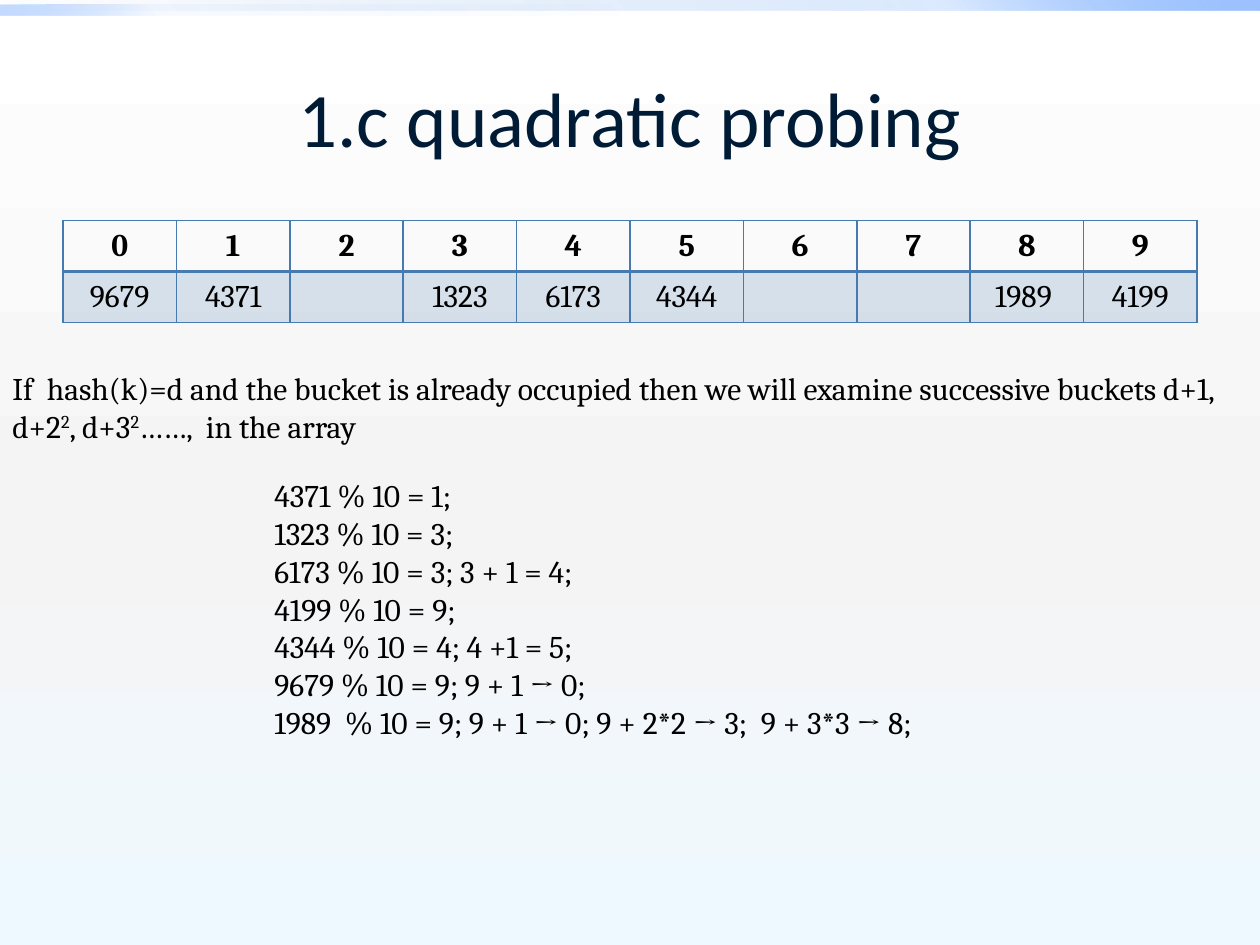
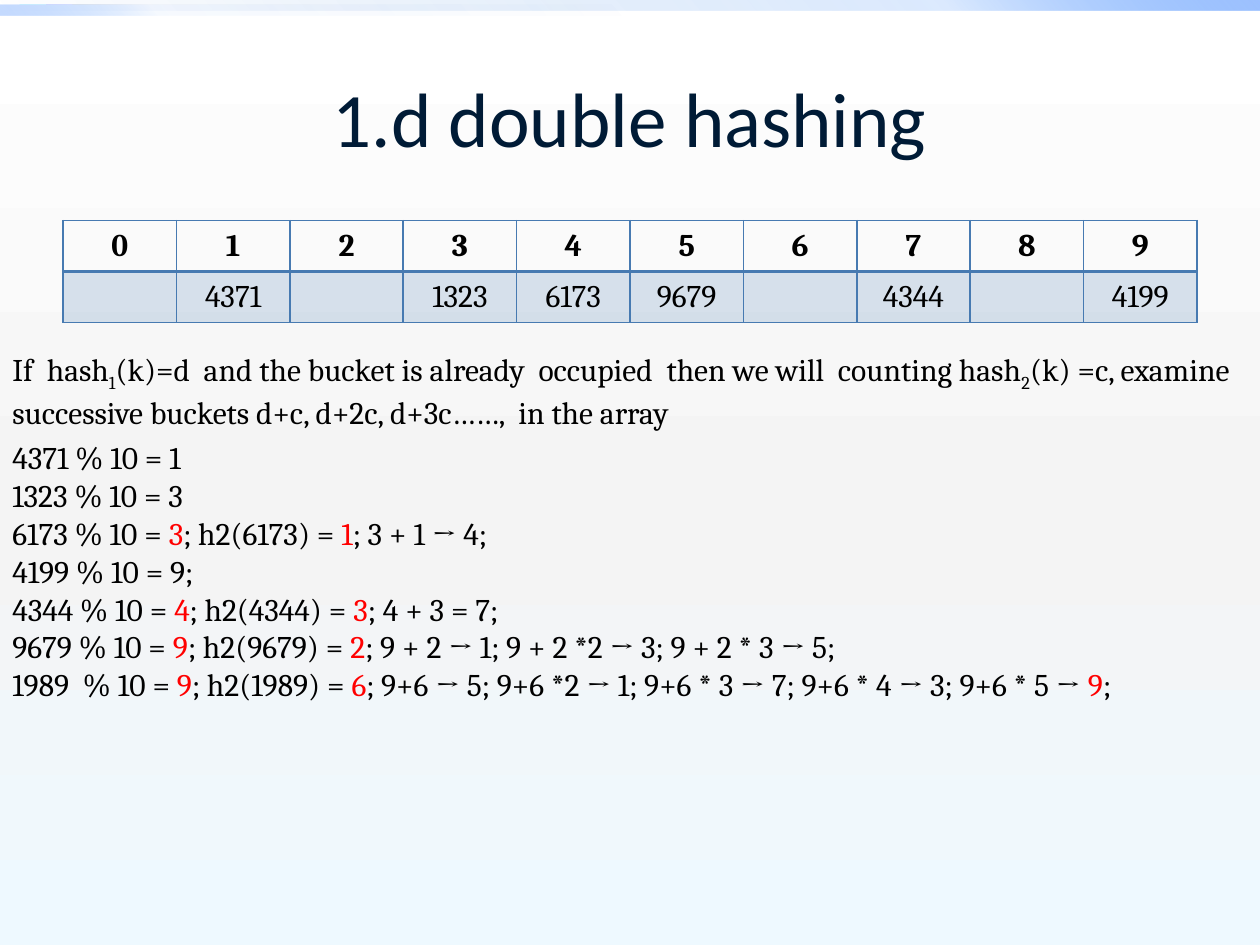
"""Build two slides on quadratic probing and double hashing."""
from pptx import Presentation as Deck
from pptx.dml.color import RGBColor as Rgb
from pptx.enum.shapes import MSO_SHAPE as Shape
from pptx.enum.text import MSO_ANCHOR as Anchor, MSO_AUTO_SIZE as Auto, PP_ALIGN as Align
from pptx.oxml import parse_xml
from pptx.oxml.ns import nsdecls, qn
from pptx.util import Inches, Pt

HUES = {
    "title": "001B36", "text": "000000", "red": "FF0000", "grid": "477AB1",
    "deep": "0058B7", "mid": "4F95FF", "pale": "9EC2FF",
    "white": "FFFFFF", "gray": "F4F4F4", "ice": "EEF9FF",
}
BASES = {"up": "30000", "down": "-25000"}
COLS, ROWS = 100, 75


class Page:
    """Hold the deck's style and the slide being drawn."""

    def __init__(self):
        self.deck = Deck()
        self.deck.slide_width, self.deck.slide_height = Inches(10), Inches(7.5)
        self.master = self.deck.slide_master
        self.slide = None

    def at(self, col, row, wide, high):
        across = self.deck.slide_width / COLS
        down = self.deck.slide_height / ROWS
        return [round(n) for n in (col * across, row * down, wide * across, high * down)]

    def grade(self, fill, root, stops, angle):
        fill.gradient()
        old = root.find(".//" + qn("a:gradFill"))
        marks = "".join(
            f'<a:gs pos="{pos * 1000}"><a:srgbClr val="{HUES[hue]}">'
            f'<a:alpha val="{alpha * 1000}"/></a:srgbClr></a:gs>'
            for pos, hue, alpha in stops)
        old.getparent().replace(old, parse_xml(
            f'<a:gradFill {nsdecls("a")} rotWithShape="1"><a:gsLst>{marks}</a:gsLst>'
            f'<a:lin ang="{angle * 60000}" scaled="0"/></a:gradFill>'))

    def ground(self):
        stops = (0, "white", 100), (55, "gray", 100), (100, "ice", 100)
        self.grade(self.master.background.fill, self.master.element, stops, 90)

    def band(self, spot, mid, end, angle, key):
        band = self.slide.shapes.add_shape(Shape.RECTANGLE, *self.at(*spot))
        band.shadow.inherit = False
        band.line.fill.background()
        stops = (0, "deep", 0), (75, "mid", mid), (100, "pale", end)
        self.grade(band.fill, band.element, stops, angle)
        band.element.nvSpPr.cNvPr.set("id", str(key))
        self.master.shapes.element.insert(key - 48, band.element)

    def start(self, title):
        self.slide = self.deck.slides.add_slide(self.deck.slide_layouts[5])
        head = self.slide.shapes.title
        head.left, head.top, head.width, head.height = self.at(5, 3, 90, 12.5)
        head.text_frame.vertical_anchor = Anchor.MIDDLE
        para = head.text_frame.paragraphs[0]
        para.alignment = Align.CENTER
        self.run(para, title, "title", 44, "Calibri")

    def run(self, para, text, hue="text", size=18, face="Cambria", bold=False):
        run = para.add_run()
        run.text = text
        font = run.font
        font.size, font.name, font.bold = Pt(size), face, bold
        font.color.rgb = Rgb.from_string(HUES[hue])
        return run

    def text(self, spot, lines, mark="red", wrap=True):
        """Write lines; pieces between bars take the mark, a colour or a baseline."""
        box = self.slide.shapes.add_textbox(*self.at(*spot))
        frame = box.text_frame
        frame.word_wrap, frame.auto_size = wrap, Auto.SHAPE_TO_FIT_TEXT
        for i, line in enumerate(lines):
            para = frame.add_paragraph() if i else frame.paragraphs[0]
            for j, piece in enumerate(line.split("|")):
                odd = j % 2 == 1
                run = self.run(para, piece, "red" if odd and mark == "red" else "text")
                if odd and mark in BASES:
                    run.font._element.set("baseline", BASES[mark])

    def edge(self, cell, first):
        props = cell._tc.get_or_add_tcPr()
        thick = "B" if first else "T"
        for i, side in enumerate("LRTB"):
            width = Pt(2 if side == thick else 1)
            props.insert(i, parse_xml(
                f'<a:ln{side} {nsdecls("a")} w="{width}"><a:solidFill>'
                f'<a:srgbClr val="{HUES["grid"]}"/></a:solidFill></a:ln{side}>'))

    def tint(self, cell):
        cell.fill.solid()
        cell.fill.fore_color.rgb = Rgb.from_string(HUES["grid"])
        hue = cell._tc.tcPr.find(".//" + qn("a:srgbClr"))
        hue.append(parse_xml(f'<a:alpha {nsdecls("a")} val="20000"/>'))

    def table(self, keys):
        rows = [[str(n) for n in range(10)], [keys.get(n, "") for n in range(10)]]
        grid = self.slide.shapes.add_table(2, 10, *self.at(5, 17.5, 90, 8.1)).table
        for i, row in enumerate(rows):
            for j, text in enumerate(row):
                cell = grid.cell(i, j)
                cell.vertical_anchor = Anchor.MIDDLE
                if i:
                    self.tint(cell)
                else:
                    cell.fill.background()
                self.edge(cell, i == 0)
                para = cell.text_frame.paragraphs[0]
                para.alignment = Align.CENTER
                if text:
                    self.run(para, text, bold=i == 0)


def main():
    page = Page()
    page.ground()
    page.start("1.c quadratic probing")
    page.band((0, 0, 100, 0.8), 20, 100, 315, 50)
    page.band((0, 0.4, 50, 0.8), 5, 60, 135, 51)
    page.table({0: "9679", 1: "4371", 3: "1323", 4: "6173", 5: "4344",
                8: "1989 ", 9: "4199"})
    page.text((20.8, 37.3, 59.2, 22.2), [
        "4371 % 10 = 1;",
        "1323 % 10 = 3;",
        "6173 % 10 = 3; 3 + 1 = 4;",
        "4199 % 10 = 9;",
        "4344 % 10 = 4; 4 +1 = 5;",
        "9679 % 10 = 9; 9 + 1 → 0;",
        "1989  % 10 = 9; 9 + 1 → 0; 9 + 2*2 → 3;  9 + 3*3 → 8;",
    ], wrap=False)
    page.text((0, 28.8, 100, 7.1), [
        "If  hash(k)=d and the bucket is already occupied then we will examine "
        "successive buckets d+1, d+2|2|, d+3|2|……,  in the array"], "up")

    page.start("1.d double hashing")
    page.table({1: "4371", 3: "1323", 4: "6173", 5: "9679", 7: "4344", 9: "4199"})
    page.text((0, 27.3, 100, 7.1), [
        "If  hash|1|(k)=d  and the bucket is already  occupied  then we will  counting "
        "hash|2|(k) =c, examine successive buckets d+c, d+2c, d+3c……,  in the array"], "down")
    page.text((0, 34.3, 100, 22.2), [
        "4371 % 10 = 1",
        "1323 % 10 = 3",
        "6173 % 10 = |3|; h2(6173) = |1|; 3 + 1 → 4;",
        "4199 % 10 = 9;",
        "4344 % 10 = |4|; h2(4344) = |3|; 4 + 3 = 7;",
        "9679 % 10 = |9|; h2(9679) = |2|; 9 + 2 → 1; 9 + 2 *2 → 3; 9 + 2 * 3 → 5;",
        "1989  % 10 = |9|; h2(1989) = |6|; 9+6 → 5; 9+6 *2 → 1; 9+6 * 3 → 7; "
        "9+6 * 4 → 3; 9+6 * 5 → |9|;",
    ])
    page.deck.save("out.pptx")


if __name__ == "__main__":
    main()
